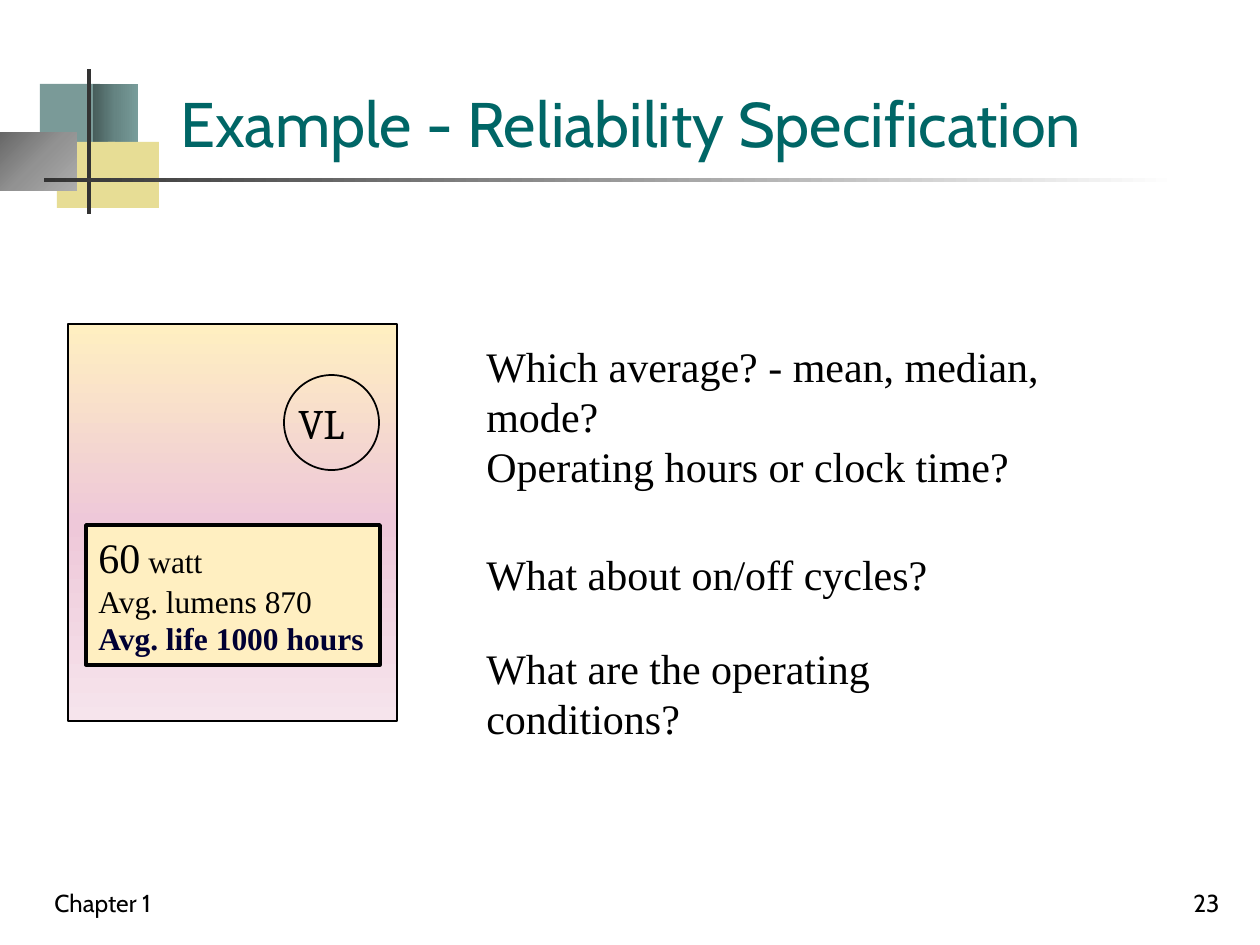
from pptx import Presentation
from pptx.dml.color import RGBColor
from pptx.enum.shapes import MSO_SHAPE as Shape
from pptx.enum.text import MSO_ANCHOR as Anchor, PP_ALIGN as Align
from pptx.oxml import parse_xml
from pptx.oxml.ns import nsdecls, qn
from pptx.util import Pt

COLORS = {
    "black": "000000", "teal": "006666", "navy": "000033", "sage": "7A9A98",
    "sand": "E7DD95", "charcoal": "333333", "cream": "FFEFC1",
}
SAGE_FADE = [(0, "475D5B"), (50, "658482"), (100, "789C9A")]
GRAY_FADE = [(0, "676767"), (50, "929292"), (100, "ADADAD")]
RULE_FADE = [(0, "333333"), (100, "FFFFFF")]
CARTON_FADE = [(0, "FFEFC1"), (50, "EEC8D9"), (100, "F6E4EC")]
LINEAR = '<a:lin ang="{}" scaled="0"/>'
CORNER = '<a:path path="circle"><a:fillToRect r="100000" b="100000"/></a:path>'

TITLE = {"name": "Cabin", "size": Pt(36), "color": "teal"}
FOOTER = {"name": "Cabin", "size": Pt(14), "color": "black"}
BODY = {"name": "Times New Roman", "size": Pt(24), "color": "black"}
SMALL = {**BODY, "size": Pt(18)}
STRONG = {**SMALL, "bold": True, "color": "navy"}
MONOGRAM = {**BODY, "name": "Cambria"}


class SlideBuilder:
    scale = 914400 / 126

    def __init__(self, presentation):
        presentation.slide_width, presentation.slide_height = self.emu(1260, 945)
        self.slide = presentation.slides.add_slide(presentation.slide_layouts[6])

    def emu(self, *lengths):
        return [round(length * self.scale) for length in lengths]

    def color(self, name):
        return RGBColor.from_string(COLORS[name])

    def shape(self, box, fill=None, line=0, kind=Shape.RECTANGLE):
        shape = self.slide.shapes.add_shape(kind, *self.emu(*box))
        shape.shadow.inherit = False
        if fill:
            shape.fill.solid()
            shape.fill.fore_color.rgb = self.color(fill)
        else:
            shape.fill.background()
        if line:
            shape.line.color.rgb = self.color("black")
            shape.line.width = Pt(line)
        else:
            shape.line.fill.background()
        return shape

    def gradient(self, box, stops, direction, line=0):
        shape = self.shape(box, line=line)
        stop_xml = "".join(
            f'<a:gs pos="{position * 1000}"><a:srgbClr val="{color}"/></a:gs>'
            for position, color in stops)
        properties = shape._element.spPr
        properties.replace(
            properties.find(qn("a:noFill")),
            parse_xml(f'<a:gradFill {nsdecls("a")} rotWithShape="1">'
                      f'<a:gsLst>{stop_xml}</a:gsLst>{direction}</a:gradFill>'))

    def set_lines(self, shape, lines, wrap=True, anchor=Anchor.TOP, align=Align.LEFT):
        frame = shape.text_frame
        frame.word_wrap = wrap
        frame.vertical_anchor = anchor
        for index, runs in enumerate(lines):
            paragraph = frame.add_paragraph() if index else frame.paragraphs[0]
            paragraph.alignment = align
            for text, style in runs:
                run = paragraph.add_run()
                run.text = text
                for key, value in style.items():
                    if key == "color":
                        run.font.color.rgb = self.color(value)
                    else:
                        setattr(run.font, key, value)

    def text(self, box, text, style, **layout):
        shape = self.slide.shapes.add_textbox(*self.emu(*box))
        self.set_lines(shape, [[(text, style)]], **layout)


def main():
    presentation = Presentation()
    builder = SlideBuilder(presentation)

    builder.shape((40, 84, 60, 66), "sage")
    builder.gradient((93, 84, 45, 66), SAGE_FADE, LINEAR.format(0))
    builder.shape((57, 142, 58, 66), "sand")
    builder.shape((108, 142, 51, 66), "sand")
    builder.gradient((0, 132, 77, 59), GRAY_FADE, CORNER)
    builder.shape((87, 69, 4, 145), "charcoal")
    builder.gradient((44, 178, 1134, 4), RULE_FADE, LINEAR.format(0))

    builder.text((168, 60, 1009, 106), "Example - Reliability Specification",
                 TITLE, anchor=Anchor.BOTTOM)
    builder.text((42, 861, 262, 63), "Chapter 1", FOOTER, anchor=Anchor.BOTTOM)
    builder.text((970, 861, 262, 63), "23", FOOTER, anchor=Anchor.BOTTOM,
                 align=Align.RIGHT)

    builder.gradient((68, 324, 329, 397), CARTON_FADE, LINEAR.format(5400000), line=1)
    label = builder.shape((86, 525, 294, 140), "cream", line=2)
    builder.set_lines(label, [
        [("60", BODY), (" watt", SMALL)],
        [("Avg. lumens 870", SMALL)],
        [("Avg. life 1000 hours", STRONG)],
    ], wrap=False)

    questions = [
        (334, 692, "Which average? - mean, median, mode?"),
        (434, 563, "Operating hours or clock time?"),
        (542, 466, "What about on/off cycles?"),
        (636, 605, "What are the operating conditions?"),
    ]
    for top, width, question in questions:
        builder.text((474, top, width, 63), question, BODY)

    builder.text((286, 391, 88, 63), "VL", MONOGRAM, wrap=False)
    builder.shape((284, 375, 95, 95), line=1, kind=Shape.OVAL)

    presentation.save("out.pptx")


if __name__ == "__main__":
    main()
